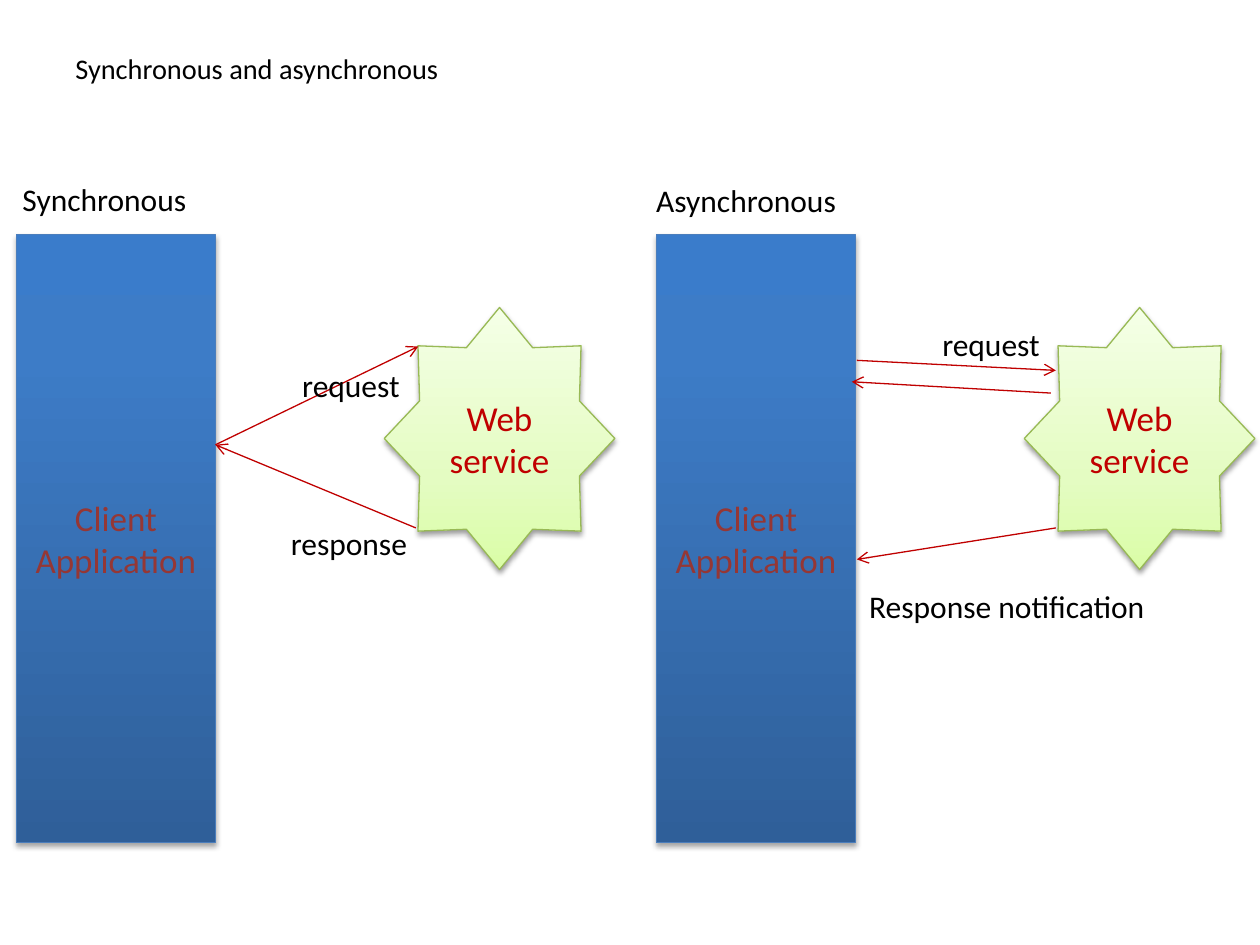
import pptx
import pptx.dml.color
import pptx.enum.shapes
import pptx.enum.text
import pptx.oxml
import pptx.oxml.ns
import pptx.util
from pptx.util import Inches

SHAPE = pptx.enum.shapes.MSO_SHAPE
CLIENT = {
    "kind": SHAPE.RECTANGLE, "text": "Client Application", "color": "953735",
    "stops": [(0, "2F5F99"), (80, "3D7CC7"), (100, "3A7CCB")],
    "line": "4B7EBC", "alpha": 35, "dist": 1.8,
}
SERVICE = {
    "kind": SHAPE.STAR_8_POINT, "text": "Web service", "color": "C00000",
    "stops": [(0, "DAFDA7"), (35, "E4FCC2"), (100, "F5FFE7")],
    "line": "98B955", "alpha": 38, "dist": 1.6,
}


def rgb(value):
    """Return the colour for a hex string."""
    return pptx.dml.color.RGBColor.from_string(value)


def add_xml(parent, xml):
    """Append one DrawingML element to its parent."""
    ns = pptx.oxml.ns.nsdecls("a")
    parent.append(pptx.oxml.parse_xml(xml.replace(" ", f" {ns} ", 1)))


def write(tf, text, size, color):
    """Write one run of text into a frame and return its paragraph."""
    p = tf.paragraphs[0]
    r = p.add_run()
    r.text = text
    for name, value in {"name": "Calibri", "size": pptx.util.Pt(size)}.items():
        setattr(r.font, name, value)
    r.font.color.rgb = rgb(color)
    return p


def add_label(s, text, x, y, w, h=0.4, wrap=False, size=18):
    """Add a black text label."""
    tf = s.shapes.add_textbox(Inches(x), Inches(y), Inches(w), Inches(h)).text_frame
    tf.word_wrap = wrap
    write(tf, text, size, "000000")
    return tf


def add_node(s, style, x, y, w, h):
    """Add a shape with a vertical gradient, a soft shadow and centred text."""
    sp = s.shapes.add_shape(style["kind"], Inches(x), Inches(y), Inches(w), Inches(h))
    sp.fill.gradient()
    sp.fill.gradient_angle = 90
    props = sp._element.spPr
    stops = props.find(".//" + pptx.oxml.ns.qn("a:gsLst"))
    for stop in list(stops):
        stops.remove(stop)
    for pos, color in style["stops"]:
        add_xml(stops, f'<a:gs pos="{pos * 1000}"><a:srgbClr val="{color}"/></a:gs>')
    sp.line.color.rgb = rgb(style["line"])
    sp.line.width = pptx.util.Pt(0.75)
    sp.shadow.inherit = False
    blur, dist = pptx.util.Pt(3.1), pptx.util.Pt(style["dist"])
    add_xml(
        props.find(pptx.oxml.ns.qn("a:effectLst")),
        f'<a:outerShdw blurRad="{blur}" dist="{dist}" dir="5400000" rotWithShape="0">'
        f'<a:srgbClr val="000000"><a:alpha val="{style["alpha"] * 1000}"/></a:srgbClr>'
        "</a:outerShdw>",
    )
    tf = sp.text_frame
    tf.word_wrap = True
    tf.vertical_anchor = pptx.enum.text.MSO_ANCHOR.MIDDLE
    p = write(tf, style["text"], 20, style["color"])
    p.alignment = pptx.enum.text.PP_ALIGN.CENTER


def add_arrow(s, x1, y1, x2, y2):
    """Add a red line with an open arrowhead at its end."""
    line = s.shapes.add_connector(
        pptx.enum.shapes.MSO_CONNECTOR.STRAIGHT,
        Inches(x1), Inches(y1), Inches(x2), Inches(y2),
    )
    line.line.color.rgb = rgb("C00000")
    line.line.width = pptx.util.Pt(0.75)
    add_xml(line.line._get_or_add_ln(), '<a:tailEnd type="arrow"/>')
    add_xml(line._element.spPr, "<a:effectLst />")


def add_title(s, x, y, w, h):
    """Add the slide title."""
    tf = add_label(s, "Synchronous and asynchronous", x, y, w, h, True, 16.2)
    tf.vertical_anchor = pptx.enum.text.MSO_ANCHOR.MIDDLE


def add_panel(s, x, y, heading, arrows, labels):
    """Add a client and a web service with the messages between them."""
    add_node(s, CLIENT, x, y, 1.58, 4.83)
    add_node(s, SERVICE, x + 2.92, y + 0.58, 1.83, 2.08)
    for x1, y1, x2, y2 in arrows:
        add_arrow(s, x + x1, y + y1, x + x2, y + y2)
    for text, dx, dy, w in labels:
        add_label(s, text, x + dx, y + dy, w)
    text, dx, dy = heading
    add_label(s, text, x + dx, y + dy, 2.42, wrap=True)


def main():
    """Build and save the slide."""
    prs = pptx.Presentation()
    prs.slide_width, prs.slide_height = Inches(10), Inches(7.5)
    s = prs.slides.add_slide(prs.slide_layouts[6])
    add_title(s, 0.5, 0.33, 9, 0.43)
    add_panel(
        s, 0.13, 1.86, ("Synchronous", -0.05, -0.48),
        [(1.58, 1.67, 3.19, 0.89), (3.17, 2.33, 1.58, 1.67)],
        [("request", 2.17, 1, 0.98), ("response", 2.08, 2.25, 1.19)],
    )
    add_panel(
        s, 5.21, 1.86, ("Asynchronous", -0.1, -0.47),
        [(1.59, 1, 3.17, 1.08), (3.17, 2.33, 1.59, 2.58), (3.13, 1.26, 1.55, 1.17)],
        [("request", 2.17, 0.67, 0.98), ("Response notification", 1.59, 2.75, 2.42)],
    )
    prs.save("out.pptx")


if __name__ == "__main__":
    main()
